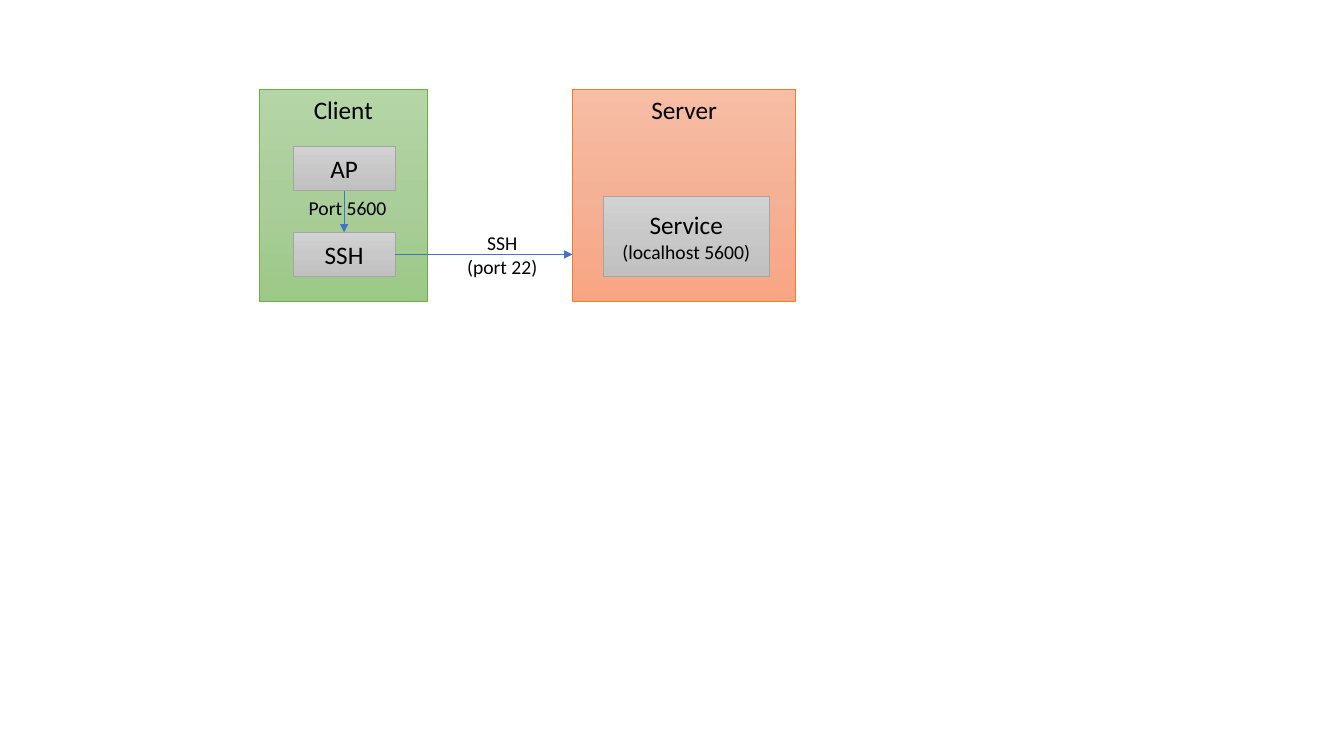
"""Draw an SSH tunnel from a client to a service on a server."""
import copy
import lxml.etree
import pptx
import pptx.util
import pptx.dml.color
import pptx.enum.shapes
import pptx.enum.text
import pptx.oxml.ns

Pt = pptx.util.Pt
RGB = pptx.dml.color.RGBColor.from_string
qn = pptx.oxml.ns.qn
ANCHOR = pptx.enum.text.MSO_ANCHOR

HUES = {
    "green": ["B5D5A7", "AACE9A", "9CC987"],
    "orange": ["F7BDA5", "F5B196", "F8A582"],
    "gray": ["D2D2D2", "C8C8C8", "C0C0C0"],
}
EDGES = {"green": "70AD47", "orange": "ED7D31", "gray": "A5A5A5"}
INK = {"text": "000000", "arrow": "4472C4"}


def write(shape, lines, anchor):
    """Fill a shape with centred lines of text."""
    frame = shape.text_frame
    frame.vertical_anchor = anchor
    for i, (text, size) in enumerate(lines):
        para = frame.add_paragraph() if i else frame.paragraphs[0]
        para.alignment = pptx.enum.text.PP_ALIGN.CENTER
        run = para.add_run()
        run.text = text
        run.font.size = Pt(size)
        run.font.name = "Calibri"
        run.font.color.rgb = RGB(INK["text"])


deck = pptx.Presentation()
deck.slide_width, deck.slide_height = Pt(960), Pt(540)
slide = deck.slides.add_slide(deck.slide_layouts[6])
shapes = slide.shapes

boxes = {}
for name, hue, spot, anchor, lines in [
    ("client", "green", (185, 64, 120.4, 151.2), ANCHOR.TOP, [("Client", 18)]),
    ("server", "orange", (409, 64, 159.3, 151.2), ANCHOR.TOP, [("Server", 18)]),
    ("service", "gray", (431, 140.6, 118.4, 56.8), ANCHOR.MIDDLE,
     [("Service", 18), ("(localhost 5600)", 14)]),
    ("ssh", "gray", (209.4, 166, 72.8, 31.5), ANCHOR.MIDDLE, [("SSH", 18)]),
    ("ap", "gray", (209.4, 104.6, 72.8, 31.5), ANCHOR.MIDDLE, [("AP", 18)]),
]:
    box = shapes.add_shape(pptx.enum.shapes.MSO_SHAPE.RECTANGLE, *map(Pt, spot))
    box.shadow.inherit = False
    box.line.color.rgb = RGB(EDGES[hue])
    box.line.width = Pt(0.5)
    box.fill.gradient()
    box.fill.gradient_angle = 270
    first = box.element.spPr.find(".//" + qn("a:gs"))
    first.addnext(copy.deepcopy(first))
    for i, stop in enumerate(box.fill.gradient_stops):
        stop.position = i / 2
        stop.color.rgb = RGB(HUES[hue][i])
    write(box, lines, anchor)
    boxes[name] = box

ssh, ap, server = boxes["ssh"], boxes["ap"], boxes["server"]
level = ssh.top + ssh.height // 2
for start, side, end in [(ssh, 3, (server.left, level)),
                         (ap, 2, (ssh.left + ssh.width // 2, ssh.top))]:
    arrow = shapes.add_connector(pptx.enum.shapes.MSO_CONNECTOR.STRAIGHT, 0, 0, *end)
    arrow.begin_connect(start, side)
    if start is ap:
        arrow.end_connect(ssh, 0)
    arrow.line.color.rgb = RGB(INK["arrow"])
    arrow.line.width = Pt(0.5)
    props = arrow.element.spPr
    lxml.etree.SubElement(props.find(qn("a:ln")), qn("a:tailEnd"), type="triangle")
    lxml.etree.SubElement(props, qn("a:effectLst"))

for spot, lines in [
    ((326, 161.4, 65.6, 41.2), [("SSH", 14), ("(port 22)", 14)]),
    ((213, 136.2, 70.6, 24.2), [("Port 5600", 14)]),
]:
    label = shapes.add_textbox(*map(Pt, spot))
    label.text_frame.word_wrap = False
    label.text_frame.auto_size = pptx.enum.text.MSO_AUTO_SIZE.SHAPE_TO_FIT_TEXT
    write(label, lines, ANCHOR.TOP)

deck.save("out.pptx")
